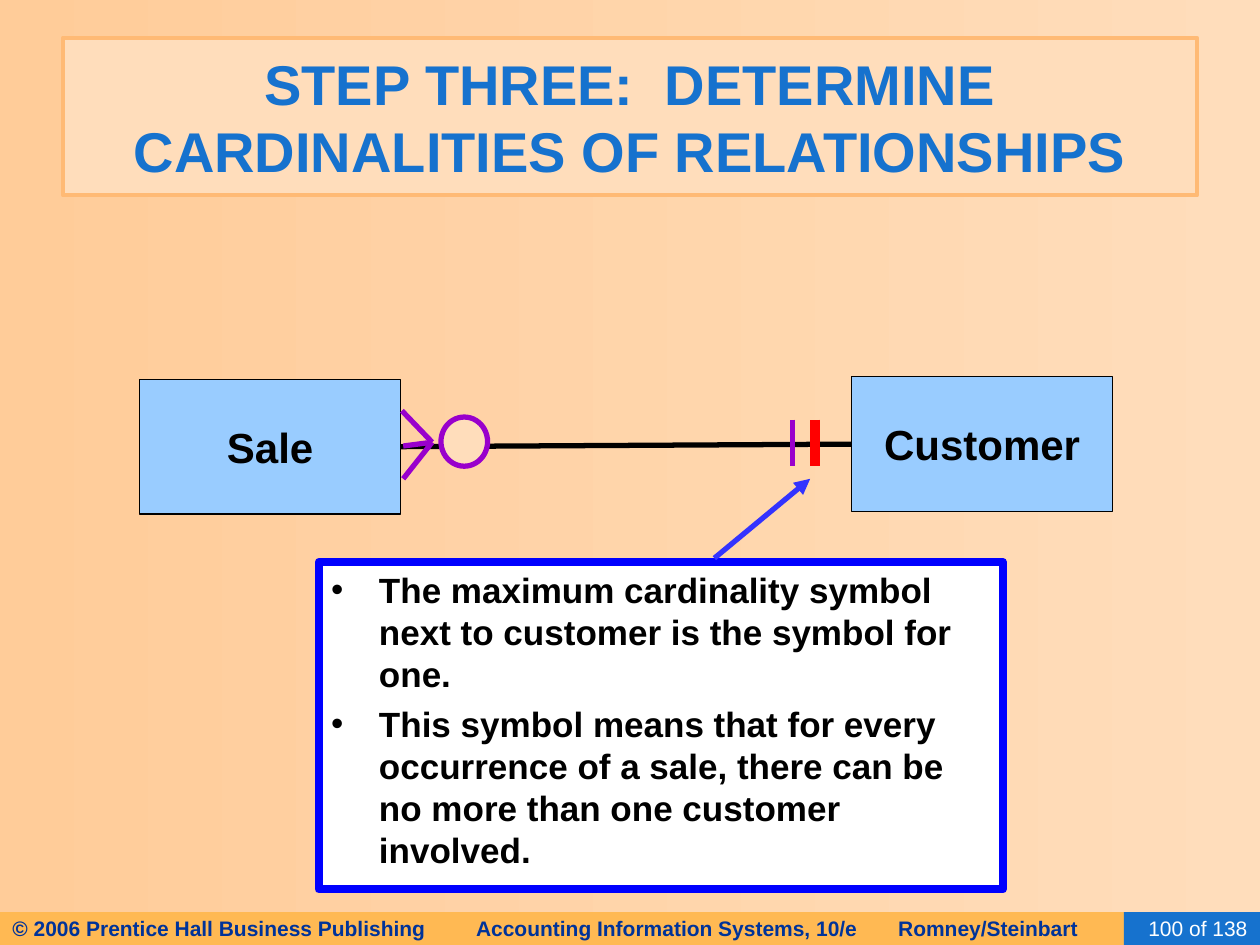
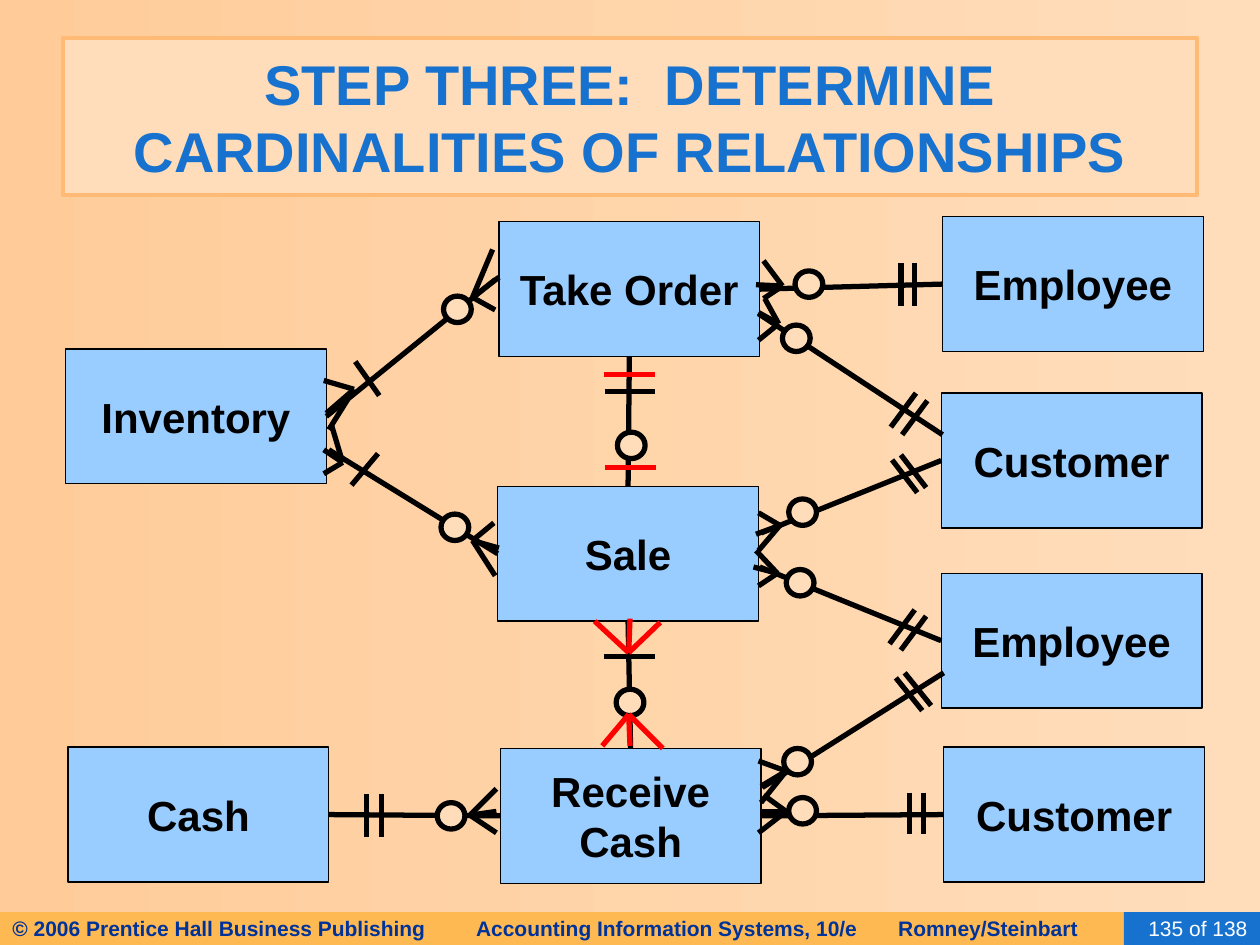
from dataclasses import dataclass
from typing import Optional, Union

from lxml import etree
from pptx import Presentation
from pptx.dml.color import RGBColor
from pptx.enum.shapes import MSO_CONNECTOR as Wire, MSO_SHAPE as Form
from pptx.enum.text import MSO_ANCHOR as Anchor, PP_ALIGN as Align
from pptx.oxml.ns import qn
from pptx.util import Inches, Pt

BLACK, WHITE, RED = "000000", "FFFFFF", "FF0000"
PEACH, SAND, AMBER, EDGE = "FFDDBB", "FFCC99", "FFB953", "FFBA75"
BLUE, NAVY, SKY, PURPLE = "1672CE", "003399", "99CCFF", "9900CC"
FRAME, ARROW = "0000FF", "3333FF"
FONT = "Arial"
TITLE = "STEP THREE:  DETERMINE CARDINALITIES OF RELATIONSHIPS"
CREDIT = ("© 2006 Prentice Hall Business Publishing",
          "Accounting Information Systems, 10/e", "Romney/Steinbart")
TOTAL = 138
BOX_W, BOX_H = 2.07, 1.07

Point = tuple[float, float]
Joint = tuple[str, int]
End = Union[Point, Joint]


@dataclass
class Box:
    key: str
    left: float
    top: float
    text: tuple[str, ...]


@dataclass
class Link:
    start: End
    end: End


@dataclass
class Bar:
    start: Point
    end: Point
    gap: Optional[Point] = None
    color: str = BLACK
    width: float = 3


@dataclass
class Ring:
    left: float
    top: float
    width: float = 0.22
    height: float = 0.21
    color: str = BLACK


@dataclass
class Foot:
    tip: Point
    toes: tuple[Point, ...]
    color: str = BLACK


@dataclass
class Chart:
    page: int
    boxes: list[Box]
    links: list[Link]
    bars: list[Bar]
    rings: list[Ring]
    feet: list[Foot]


SALE = Chart(
    100,
    [Box("sale", 1.11, 3.01, ("Sale",)),
     Box("client", 6.76, 2.99, ("Customer",))],
    [Link(("sale", 3), ("client", 1))],
    [Bar((6.29, 3.33), (6.29, 3.7), color=PURPLE),
     Bar((6.47, 3.33), (6.47, 3.7), color=RED, width=6)],
    [Ring(3.5, 3.31, 0.37, 0.39, PURPLE)],
    [Foot((3.43, 3.51), ((3.19, 3.26), (3.2, 3.54), (3.2, 3.8)), PURPLE)],
)

CYCLE = Chart(
    135,
    [Box("sale", 3.95, 3.86, ("Sale",)),
     Box("receive", 3.97, 5.94, ("Receive", "Cash")),
     Box("order", 3.96, 1.76, ("Take Order",)),
     Box("stock", 0.52, 2.77, ("Inventory",)),
     Box("cash", 0.54, 5.93, ("Cash",)),
     Box("buyer", 7.47, 3.12, ("Customer",)),
     Box("clerk", 7.47, 4.55, ("Employee",)),
     Box("payer", 7.49, 5.93, ("Customer",)),
     Box("seller", 7.48, 1.72, ("Employee",))],
    [Link(("order", 2), ("sale", 0)),
     Link(("sale", 2), ("receive", 0)),
     Link((2.61, 3.57), ("sale", 1)),
     Link(("cash", 3), ("receive", 1)),
     Link(("stock", 3), (3.93, 2.22)),
     Link((6.03, 4.5), ("clerk", 1)),
     Link((6.04, 4.23), ("buyer", 1)),
     Link(("receive", 3), ("payer", 1)),
     Link((6.05, 6.25), (7.49, 5.34)),
     Link(("order", 3), ("seller", 1)),
     Link((6.02, 2.49), (7.48, 3.45))],
    [Bar((7.15, 2.09), (7.15, 2.43), (0.11, 0)),
     Bar((7.27, 3.12), (7.07, 3.39), (0.09, 0.06)),
     Bar((7.08, 3.65), (7.28, 3.91), (0.07, -0.04)),
     Bar((7.26, 4.84), (7.06, 5.11), (0.09, 0.05)),
     Bar((7.11, 5.38), (7.32, 5.64), (0.07, -0.04)),
     Bar((7.22, 6.29), (7.22, 6.62), (0.11, 0)),
     Bar((2.91, 6.3), (2.91, 6.64), (0.12, 0)),
     Bar((2.82, 2.87), (3.01, 3.14)),
     Bar((3, 3.6), (2.79, 3.85)),
     Bar((4.8, 3.11), (5.2, 3.11)),
     Bar((4.79, 5.21), (5.2, 5.21)),
     Bar((4.79, 2.97), (5.2, 2.97), color=RED),
     Bar((4.8, 3.71), (5.21, 3.71), color=RED)],
    [Ring(6.31, 2.15), Ring(6.21, 2.58), Ring(6.26, 3.96), Ring(6.24, 4.52),
     Ring(6.22, 5.94), Ring(6.26, 6.33), Ring(3.52, 2.35), Ring(3.5, 4.08),
     Ring(3.47, 6.37), Ring(4.9, 3.43), Ring(4.89, 5.47)],
    [Foot((6.21, 2.27), ((6.06, 2.07), (6, 2.26), (6.06, 2.37))),
     Foot((6.18, 2.57), ((6.02, 2.48), (6.07, 2.37), (6.02, 2.7))),
     Foot((6.19, 4.17), ((6, 4.24), (6.02, 4.07), (6.02, 4.37))),
     Foot((6.17, 4.55), ((5.98, 4.5), (6, 4.37), (6.02, 4.65))),
     Foot((6.24, 6.12), ((6.04, 6.24), (6.02, 6.04), (6.04, 6.37))),
     Foot((6.24, 6.44), ((6.04, 6.44), (6.06, 6.31), (6.02, 6.61))),
     Foot((2.81, 3.09), ((2.57, 3.02), (2.59, 3.28), (2.61, 3.41))),
     Foot((2.72, 3.67), ((2.57, 3.57), (2.63, 3.37), (2.57, 3.76))),
     Foot((3.75, 2.36), ((3.96, 2.2), (3.91, 1.98), (3.93, 2.46))),
     Foot((3.75, 4.29), ((3.96, 4.35), (3.92, 4.15), (3.93, 4.57))),
     Foot((3.73, 6.47), ((3.94, 6.44), (3.94, 6.26), (3.94, 6.61))),
     Foot((4.99, 5.18), ((5, 4.91), (5.24, 4.94), (4.72, 4.93)), RED),
     Foot((4.99, 5.67), ((5, 5.92), (4.78, 5.92), (5.26, 5.94)), RED)],
)

NOTES = (
    "The maximum cardinality symbol next to customer is the symbol for one.",
    "This symbol means that for every occurrence of a sale, "
    "there can be no more than one customer involved.",
)


def tint(code: str) -> RGBColor:
    return RGBColor.from_string(code)


def shape(slide, left: float, top: float, width: float, height: float,
          fill: str, line: Optional[str] = None, weight: float = 0.75,
          form=Form.RECTANGLE):
    item = slide.shapes.add_shape(form, Inches(left), Inches(top),
                                  Inches(width), Inches(height))
    item.shadow.inherit = False
    item.fill.solid()
    item.fill.fore_color.rgb = tint(fill)
    if line:
        item.line.color.rgb = tint(line)
        item.line.width = Pt(weight)
    else:
        item.line.fill.background()
    return item


def bullet(para) -> None:
    props = para._p.get_or_add_pPr()
    props.set("marL", str(Inches(0.38)))
    props.set("indent", str(-Inches(0.38)))
    color = etree.SubElement(props, qn("a:buClr"))
    etree.SubElement(color, qn("a:srgbClr"), val=BLACK)
    etree.SubElement(props, qn("a:buFont"), typeface=FONT)
    etree.SubElement(props, qn("a:buChar"), char="•")


def stops(para, places: tuple[float, ...]) -> None:
    tabs = etree.SubElement(para._p.get_or_add_pPr(), qn("a:tabLst"))
    for place in places:
        etree.SubElement(tabs, qn("a:tab"), pos=str(Inches(place)), algn="l")


def write(item, *lines: str, size: float, color: str = BLACK,
          bold: bool = True, align=Align.CENTER, anchor=Anchor.MIDDLE,
          wrap: bool = True, dots: bool = False, space: float = 0,
          tabs: tuple[float, ...] = ()) -> None:
    frame = item.text_frame
    frame.word_wrap = wrap
    frame.vertical_anchor = anchor
    for num, line in enumerate(lines):
        para = frame.add_paragraph() if num else frame.paragraphs[0]
        para.alignment = align
        if dots:
            bullet(para)
        if tabs:
            stops(para, tabs)
        if num and space:
            para.space_before = Pt(space)
        run = para.add_run()
        run.text = line
        font = run.font
        font.name, font.size, font.bold = FONT, Pt(size), bold
        font.color.rgb = tint(color)


def stroke(slide, start: Point, end: Point, color: str = BLACK,
           width: float = 3, arrow: bool = False):
    wire = slide.shapes.add_connector(
        Wire.STRAIGHT, *(Inches(num) for num in (*start, *end)))
    wire.line.color.rgb = tint(color)
    wire.line.width = Pt(width)
    if arrow:
        etree.SubElement(wire.line._get_or_add_ln(), qn("a:tailEnd"),
                         type="triangle")
    etree.SubElement(wire._element.spPr, qn("a:effectLst"))
    return wire


def join(slide, link: Link, made: dict) -> None:
    free = [(0, 0) if isinstance(end[0], str) else end
            for end in (link.start, link.end)]
    wire = stroke(slide, *free)
    for end, dock in ((link.start, wire.begin_connect),
                      (link.end, wire.end_connect)):
        if isinstance(end[0], str):
            dock(made[end[0]], end[1])


def base(deck, page: int):
    slide = deck.slides.add_slide(deck.slide_layouts[6])
    fill = slide.background.fill
    fill.gradient()
    fill.gradient_angle = 180
    for stop, color in zip(fill.gradient_stops, (PEACH, SAND)):
        stop.color.rgb = tint(color)
    write(shape(slide, 0, 7.24, 9.25, 0.26, AMBER), "\t".join(CREDIT),
          size=12, color=NAVY, align=Align.LEFT, tabs=(3.68, 7.03))
    write(shape(slide, 8.92, 7.24, 1.08, 0.26, BLUE), f"{page} of {TOTAL}",
          size=12, color=WHITE, bold=False, align=Align.RIGHT)
    write(shape(slide, 0.5, 0.3, 9, 1.25, PEACH, EDGE, 2.5), TITLE,
          size=32, color=BLUE)
    return slide


def draw(deck, chart: Chart):
    slide = base(deck, chart.page)
    made = {}
    for box in chart.boxes:
        item = shape(slide, box.left, box.top, BOX_W, BOX_H, SKY, BLACK)
        write(item, *box.text, size=24, wrap=False)
        made[box.key] = item
    for link in chart.links:
        join(slide, link, made)
    for bar in chart.bars:
        for dx, dy in ((0, 0), bar.gap) if bar.gap else ((0, 0),):
            ends = [(x + dx, y + dy) for x, y in (bar.start, bar.end)]
            stroke(slide, *ends, bar.color, bar.width)
    for ring in chart.rings:
        shape(slide, ring.left, ring.top, ring.width, ring.height,
              PEACH, ring.color, 3, Form.OVAL)
    for foot in chart.feet:
        for toe in foot.toes:
            stroke(slide, foot.tip, toe, foot.color)
    return slide


def main() -> None:
    deck = Presentation()
    deck.slide_width, deck.slide_height = Inches(10), Inches(7.5)
    slide = draw(deck, SALE)
    panel = shape(slide, 2.53, 4.46, 5.43, 2.6, WHITE, FRAME, 4.5)
    write(panel, *NOTES, size=20, align=Align.LEFT, anchor=Anchor.TOP,
          dots=True, space=5)
    stroke(slide, (5.67, 4.43), (6.43, 3.8), ARROW, arrow=True)
    draw(deck, CYCLE)
    deck.save("out.pptx")


if __name__ == "__main__":
    main()
